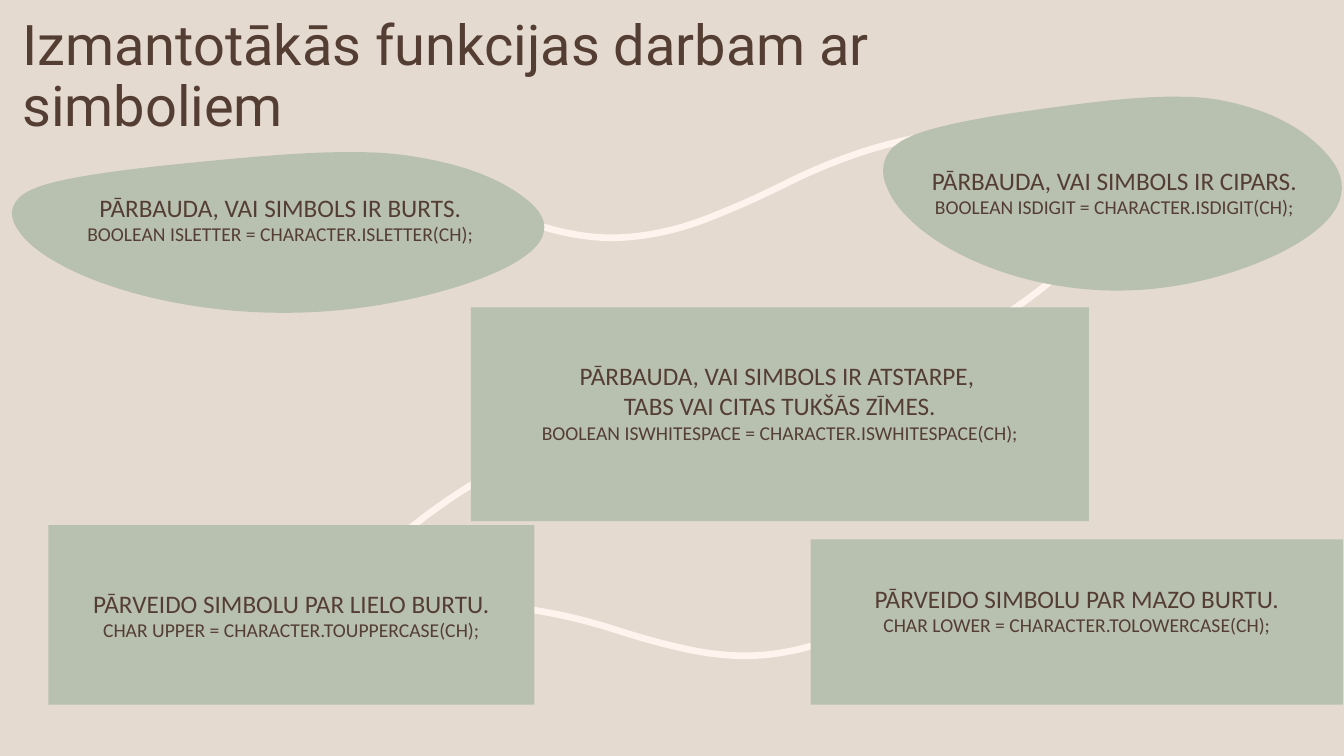
from lxml.etree import SubElement
from pptx import Presentation
from pptx.dml.color import RGBColor
from pptx.enum.text import MSO_ANCHOR, MSO_AUTO_SIZE, PP_ALIGN
from pptx.oxml.ns import qn
from pptx.util import Pt

PX = 9144  # one px is a hundredth of an inch
SAND, SAGE, CREAM, BROWN = "E5DACF", "B8C0B0", "FEF3ED", "543E34"
TAIL = 24  # room kept under some captions

# Each curve: start point, then two control points and an end point per bend
LINKS = [
    [(833, 383), (913, 363), (985, 327), (1047, 275)],
    [(584, 428), (509, 452), (445, 490), (389, 539)],
    [(307, 223), (350, 187), (398, 177), (449, 190),
     (466, 194), (481, 201), (497, 209), (530, 224), (565, 235), (604, 236),
     (637, 236), (670, 229), (701, 217), (737, 203), (757, 193), (778, 183),
     (801, 171), (940, 103), (1027, 146)],
    [(920, 579), (904, 586), (891, 595), (877, 605),
     (848, 625), (815, 641), (778, 647), (746, 653), (714, 651), (681, 644),
     (645, 636), (624, 629), (602, 622), (578, 615), (434, 570), (347, 636)],
]
# Pebble outline in hundredths of its frame
PEBBLE = [
    (65, 0), (71, 0), (76, 2.4), (81.4, 6.6), (88.6, 12.3), (92.8, 20.3), (95.1, 25.5),
    (97.4, 30.7), (100.8, 39.6), (99.8, 50.5), (98.2, 72.2), (78.8, 92), (62.6, 97.6),
    (33.3, 108), (6.2, 76.4), (1, 47.6), (0.2, 43.9), (-1.1, 35.4), (1.6, 27.4),
    (3.9, 21.2), (8.5, 15.6), (27.9, 8.5), (43.4, 3.3), (55, -0.5), (65, 0),
]
# Frame, caption lines, code line, room below
PEBBLES = [
    ((12, 151, 528, 160), ["PĀRBAUDA, VAI SIMBOLS IR BURTS."],
     "BOOLEAN ISLETTER = CHARACTER.ISLETTER(CH);", TAIL),
    ((876, 96, 455, 193), ["PĀRBAUDA, VAI SIMBOLS IR CIPARS."],
     "BOOLEAN ISDIGIT = CHARACTER.ISDIGIT(CH);", 0),
]
PANELS = [
    ((467, 305, 613, 212),
     ["PĀRBAUDA, VAI SIMBOLS IR ATSTARPE, ", "TABS VAI CITAS TUKŠĀS ZĪMES."],
     "BOOLEAN ISWHITESPACE = CHARACTER.ISWHITESPACE(CH);", TAIL),
    ((48, 521, 482, 178), ["PĀRVEIDO SIMBOLU PAR LIELO BURTU."],
     "CHAR UPPER = CHARACTER.TOUPPERCASE(CH);", 0),
    ((804, 535, 528, 164), ["PĀRVEIDO SIMBOLU PAR MAZO BURTU."],
     "CHAR LOWER = CHARACTER.TOLOWERCASE(CH);", TAIL),
]


def color(hex_text):
    return RGBColor.from_string(hex_text)


def set_all(target, values):
    for name, value in values.items():
        setattr(target, name, value)


def place(box, frame):
    set_all(box, dict(zip(("left", "top", "width", "height"), (n * PX for n in frame))))


def paint(box, hex_text):
    box.fill.solid()
    box.fill.fore_color.rgb = color(hex_text)
    box.line.fill.background()


def add_curve(page, points, close):
    """A freeform through every third point, its sides bent by the points between."""
    points = [(round(x * PX), round(y * PX)) for x, y in points]
    builder = page.shapes.build_freeform(*points[0], scale=1.0)
    builder.add_line_segments(points[3::3], close=close)
    curve = builder.convert_to_shape()
    curve.shadow.inherit = False
    sides = list(curve.element.iter(qn("a:lnTo")))
    for i, side in enumerate(sides):
        bend = side.makeelement(qn("a:cubicBezTo"), {})
        for x, y in points[3 * i + 1:3 * i + 4]:
            SubElement(bend, qn("a:pt"), x=str(x - curve.left), y=str(y - curve.top))
        side.getparent().replace(side, bend)
    return curve


def add_link(page, points):
    link = add_curve(page, points, False)
    link.fill.background()
    link.line.color.rgb = color(CREAM)
    link.line.width = Pt(4.75)
    page.shapes.element.insert(2, link.element)  # behind the panels


def write(box, lines, room=0, align=PP_ALIGN.CENTER, spacing=1.0):
    """Fill a box with (text, size, font) lines."""
    frame = box.text_frame
    set_all(frame, {"word_wrap": True, "auto_size": MSO_AUTO_SIZE.NONE,
                    "vertical_anchor": MSO_ANCHOR.MIDDLE,
                    "margin_left": 10 * PX, "margin_right": 10 * PX,
                    "margin_top": 5 * PX, "margin_bottom": (5 + room) * PX})
    for i, (text, size, font) in enumerate(lines):
        para = frame.add_paragraph() if i else frame.paragraphs[0]
        set_all(para, {"alignment": align, "line_spacing": spacing,
                       "space_before": Pt(0), "space_after": Pt(0)})
        properties = para._p.get_or_add_pPr()
        properties.set("marL", "0")
        properties.set("indent", "0")
        SubElement(properties, qn("a:buNone"))
        span = para.add_run()
        span.text = text
        set_all(span.font, {"size": Pt(size), "name": font, "bold": False})
        span.font.color.rgb = color(BROWN)


def write_function(box, captions, code, room):
    paint(box, SAGE)
    lines = [(caption, 18, "Calibri") for caption in captions]
    write(box, lines + [(code, 14, "Calibri")], room)


def add_pebble(page, frame, captions, code, room):
    left, top, width, height = frame
    outline = [(left + x * width / 100, top + y * height / 100) for x, y in PEBBLE]
    write_function(add_curve(page, outline, True), captions, code, room)


def fill_panel(box, frame, captions, code, room):
    place(box, frame)
    write_function(box, captions, code, room)


def main():
    deck = Presentation()
    set_all(deck, {"slide_width": 1333 * PX, "slide_height": 750 * PX})
    page = deck.slides.add_slide(deck.slide_layouts.get_by_name("Comparison"))
    page.background.fill.solid()
    page.background.fill.fore_color.rgb = color(SAND)

    # Title
    title, *bodies = page.placeholders
    place(title, (12, 21, 863, 113))
    write(title, [("Izmantotākās funkcijas darbam ar simboliem", 40, "Roboto")],
          align=PP_ALIGN.LEFT, spacing=0.9)

    # Panels in the body placeholders; the spare one goes
    for box, panel in zip(bodies, PANELS):
        fill_panel(box, *panel)
    for spare in bodies[len(PANELS):]:
        page.shapes.element.remove(spare.element)

    # Connecting curves, then pebbles over them
    for points in LINKS:
        add_link(page, points)
    for pebble in PEBBLES:
        add_pebble(page, *pebble)

    deck.save("out.pptx")


if __name__ == "__main__":
    main()
